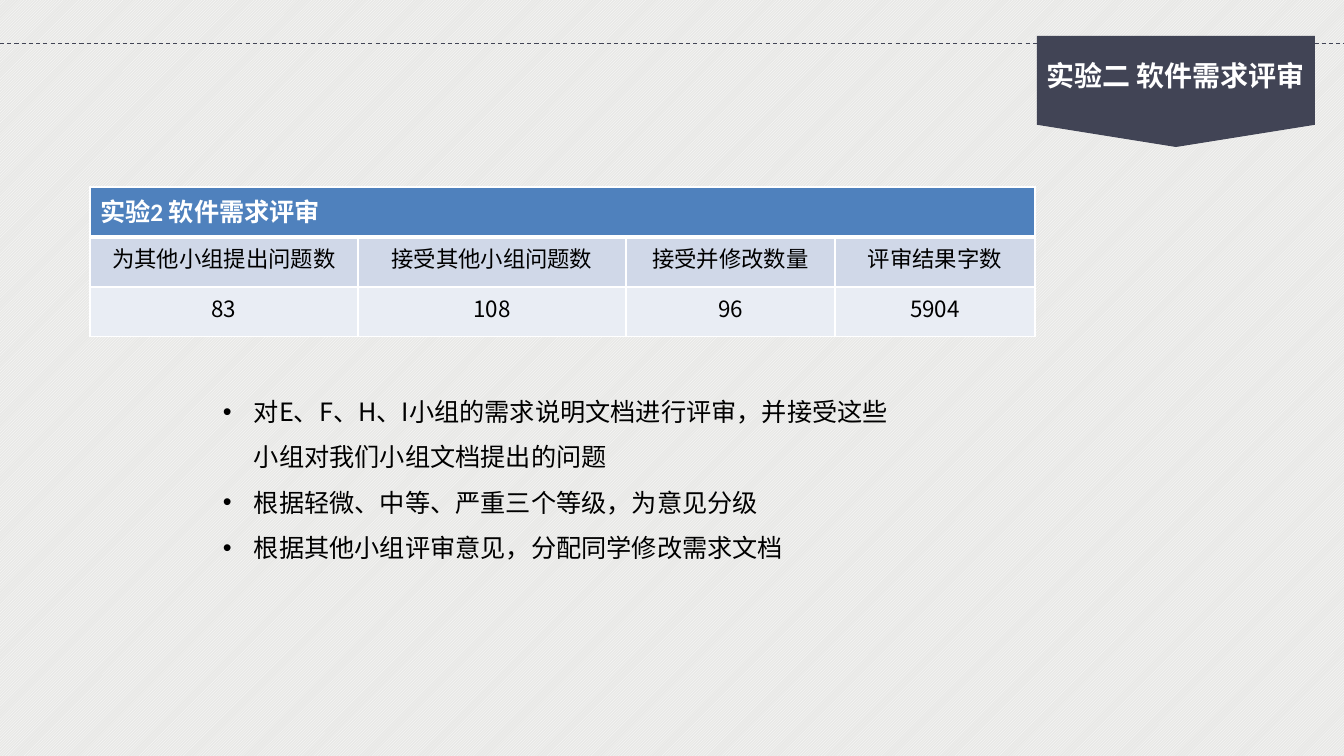
from dataclasses import dataclass
from typing import NamedTuple

from lxml.etree import SubElement
from pptx import Presentation
from pptx.dml.color import RGBColor
from pptx.enum.dml import MSO_LINE, MSO_PATTERN
from pptx.enum.shapes import MSO_CONNECTOR, MSO_SHAPE
from pptx.enum.text import MSO_ANCHOR, MSO_AUTO_SIZE, PP_ALIGN
from pptx.oxml.ns import qn
from pptx.util import Pt

PAGE_WIDTH, PAGE_HEIGHT = 1344, 756
SCALE = 12192000 / PAGE_WIDTH


@dataclass(frozen=True)
class Theme:
    ink: str = "000000"
    white: str = "FFFFFF"
    paper: str = "E8E8E6"
    slate: str = "414455"
    header: str = "4F81BD"
    labels: str = "D0D8E8"
    values: str = "E9EDF4"
    cjk: str = "Noto Sans CJK SC"
    latin: str = "Calibri"
    title_size: int = 20
    body_size: int = 18
    cell_size: int = 16
    thin: float = 0.75
    rule: int = 1
    heavy: int = 3


THEME = Theme()


class Box(NamedTuple):
    left: int
    top: int
    width: int
    height: int

    def emu(self) -> list[int]:
        return [px(length) for length in self]


class TextStyle(NamedTuple):
    size: int
    color: str
    bold: bool = False
    font: str = THEME.cjk
    align: PP_ALIGN = PP_ALIGN.LEFT


class TableRow(NamedTuple):
    texts: list[str]
    fill: str
    style: TextStyle
    top_rule: int
    bottom_rule: int


TITLE_STYLE = TextStyle(THEME.title_size, THEME.white, True, align=PP_ALIGN.CENTER)
HEADER_STYLE = TextStyle(THEME.body_size, THEME.white, True, THEME.latin)
CELL_STYLE = TextStyle(THEME.cell_size, THEME.ink, align=PP_ALIGN.CENTER)
BODY_STYLE = TextStyle(THEME.body_size, THEME.ink)

LINE_TOP = 44
BANNER_BOX = Box(1037, 36, 278, 111)
TITLE_BOX = Box(1034, 53, 283, 44)
TABLE_LEFT, TABLE_TOP, ROW_HEIGHT = 90, 187, 50
COLUMN_WIDTHS = [268, 268, 209, 200]
NOTES_BOX = Box(213, 378, 699, 188)
BULLET_INDENT = 31

REVIEW_ROWS = [
    TableRow(["实验2 软件需求评审"], THEME.header, HEADER_STYLE, THEME.rule, THEME.heavy),
    TableRow(["为其他小组提出问题数", "接受其他小组问题数", "接受并修改数量", "评审结果字数"],
             THEME.labels, CELL_STYLE, THEME.heavy, THEME.rule),
    TableRow(["83", "108", "96", "5904"], THEME.values, CELL_STYLE, THEME.rule, THEME.rule),
]
REVIEW_NOTES = [
    "对E、F、H、I小组的需求说明文档进行评审，并接受这些小组对我们小组文档提出的问题",
    "根据轻微、中等、严重三个等级，为意见分级",
    "根据其他小组评审意见，分配同学修改需求文档",
]


def px(length: int) -> int:
    return round(length * SCALE)


def rgb(color: str) -> RGBColor:
    return RGBColor.from_string(color)


def write(para, text: str, style: TextStyle) -> None:
    para.alignment = style.align
    span = para.add_run()
    span.text = text
    formats = {"size": Pt(style.size), "bold": style.bold, "name": style.font}
    for name, value in formats.items():
        setattr(span.font, name, value)
    span.font.color.rgb = rgb(style.color)
    SubElement(span.font._element, qn("a:ea"), typeface=THEME.cjk)


def paint_background(page) -> None:
    fill = page.background.fill
    fill.patterned()
    fill.pattern = MSO_PATTERN.LIGHT_UPWARD_DIAGONAL
    fill.fore_color.rgb = rgb(THEME.white)
    fill.back_color.rgb = rgb(THEME.paper)


def add_dashed_line(page) -> None:
    line = page.shapes.add_connector(
        MSO_CONNECTOR.STRAIGHT, 0, px(LINE_TOP), px(PAGE_WIDTH), px(LINE_TOP))
    line.line.color.rgb = rgb(THEME.slate)
    line.line.width = Pt(THEME.thin)
    line.line.dash_style = MSO_LINE.DASH
    SubElement(line.element.spPr, qn("a:effectLst"))


def add_title_banner(page, text: str) -> None:
    banner = page.shapes.add_shape(MSO_SHAPE.FLOWCHART_OFFPAGE_CONNECTOR, *BANNER_BOX.emu())
    banner.shadow.inherit = False
    banner.fill.solid()
    banner.fill.fore_color.rgb = rgb(THEME.slate)
    banner.line.fill.background()

    title = page.shapes.title
    for name, value in zip(Box._fields, TITLE_BOX.emu()):
        setattr(title, name, value)
    formats = {"word_wrap": False, "auto_size": MSO_AUTO_SIZE.SHAPE_TO_FIT_TEXT,
               "vertical_anchor": MSO_ANCHOR.TOP}
    for name, value in formats.items():
        setattr(title.text_frame, name, value)
    write(title.text_frame.paragraphs[0], text, TITLE_STYLE)
    banner.element.addnext(title.element)


def add_border(cell, side: str, width: int) -> None:
    border = SubElement(cell._tc.get_or_add_tcPr(), qn(f"a:ln{side}"), w=str(Pt(width)))
    fill = SubElement(border, qn("a:solidFill"))
    SubElement(fill, qn("a:srgbClr"), val=THEME.white)


def add_review_table(page, rows: list[TableRow]) -> None:
    box = Box(TABLE_LEFT, TABLE_TOP, sum(COLUMN_WIDTHS), ROW_HEIGHT * len(rows))
    table = page.shapes.add_table(len(rows), len(COLUMN_WIDTHS), *box.emu()).table
    table.first_row = table.horz_banding = False
    for column, width in zip(table.columns, COLUMN_WIDTHS):
        column.width = px(width)
    table.cell(0, 0).merge(table.cell(0, len(COLUMN_WIDTHS) - 1))
    for table_row, row in zip(table.rows, rows):
        table_row.height = px(ROW_HEIGHT)
        sides = {"L": THEME.rule, "R": THEME.rule, "T": row.top_rule, "B": row.bottom_rule}
        for cell in table_row.cells:
            for side, width in sides.items():
                add_border(cell, side, width)
            cell.fill.solid()
            cell.fill.fore_color.rgb = rgb(row.fill)
        for cell, text in zip(table_row.cells, row.texts):
            write(cell.text_frame.paragraphs[0], text, row.style)


def add_bullets(page, notes: list[str]) -> None:
    frame = page.shapes.add_textbox(*NOTES_BOX.emu()).text_frame
    formats = {"word_wrap": True, "auto_size": MSO_AUTO_SIZE.SHAPE_TO_FIT_TEXT,
               "vertical_anchor": MSO_ANCHOR.MIDDLE}
    for name, value in formats.items():
        setattr(frame, name, value)
    for index, note in enumerate(notes):
        para = frame.add_paragraph() if index else frame.paragraphs[0]
        para.line_spacing = 1.5
        write(para, note, BODY_STYLE)
        layout = para._p.get_or_add_pPr()
        layout.set("marL", str(px(BULLET_INDENT)))
        layout.set("indent", str(-px(BULLET_INDENT)))
        SubElement(layout, qn("a:buFont"), typeface="Arial")
        SubElement(layout, qn("a:buChar"), char="•")


def main() -> None:
    deck = Presentation()
    deck.slide_width, deck.slide_height = px(PAGE_WIDTH), px(PAGE_HEIGHT)
    page = deck.slides.add_slide(deck.slide_layouts.get_by_name("Title Only"))
    paint_background(page)
    add_dashed_line(page)
    add_title_banner(page, "实验二 软件需求评审")
    add_review_table(page, REVIEW_ROWS)
    add_bullets(page, REVIEW_NOTES)
    deck.save("out.pptx")


if __name__ == "__main__":
    main()
